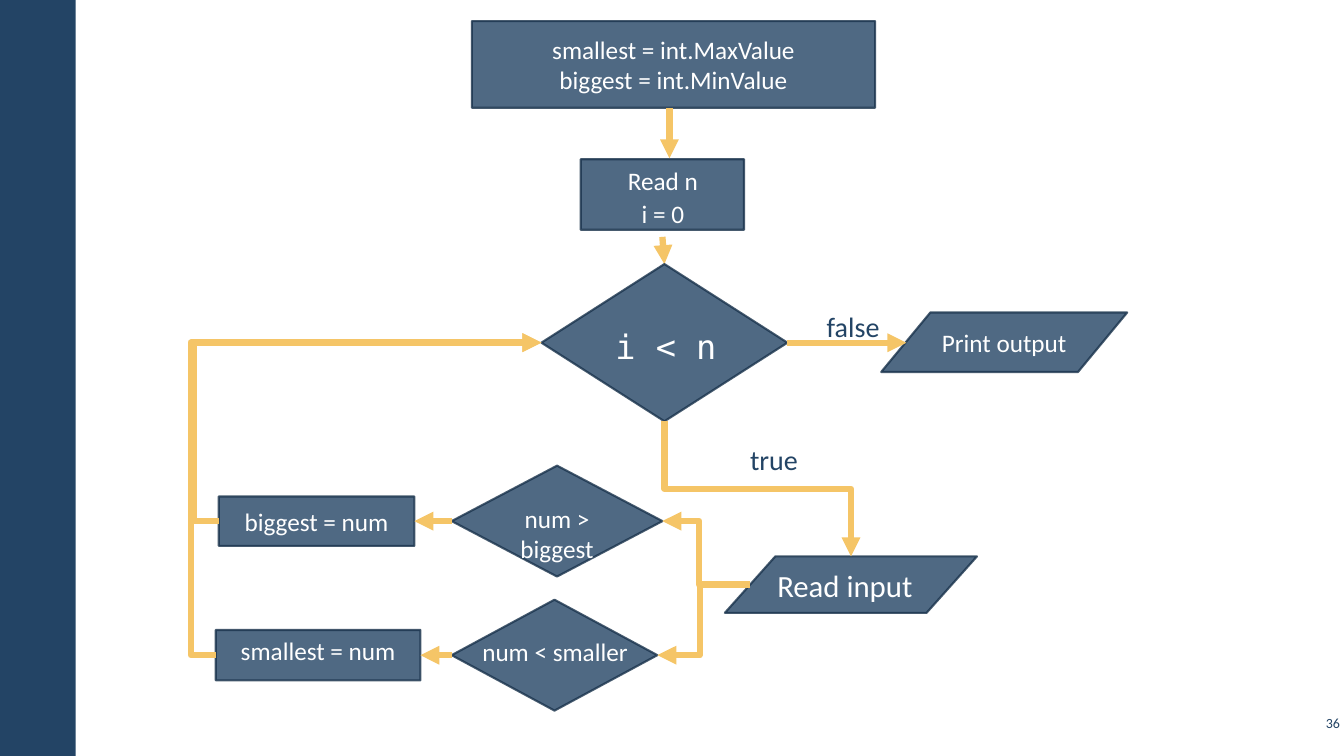
from lxml import etree
from pptx import Presentation
from pptx import util as u
from pptx.dml.color import RGBColor
from pptx.enum import shapes, text
from pptx.oxml import ns

NAVY = RGBColor(0x23, 0x44, 0x65)
EDGE = RGBColor(0x1A, 0x33, 0x4C)
GOLD = RGBColor(0xF5, 0xC5, 0x67)
WHITE = RGBColor(0xFF, 0xFF, 0xFF)
SCALE = 9144
KIND = shapes.MSO_SHAPE
LINK = shapes.MSO_CONNECTOR
ALIGN = text.PP_ALIGN
MID = text.MSO_ANCHOR.MIDDLE
TOP = text.MSO_ANCHOR.TOP


def px(*nums):
    return [u.Emu(round(n * SCALE)) for n in nums]


def shift(box, x, y):
    return box[0] + x, box[1] + y


def write(frame, words, size=18, font="Calibri", color=WHITE, align=ALIGN.CENTER,
          anchor=MID, space=None, pad=(10, 5)):
    frame.word_wrap = True
    frame.vertical_anchor = anchor
    frame.margin_left = frame.margin_right = px(pad[0])[0]
    frame.margin_top = frame.margin_bottom = px(pad[1])[0]
    for i, line in enumerate(words.split("\n")):
        para = frame.add_paragraph() if i else frame.paragraphs[0]
        para.alignment = align
        para.line_spacing = space
        run = para.add_run()
        run.text = line
        run.font.size = u.Pt(size)
        run.font.name = font
        run.font.color.rgb = color


def label(page, box, words, **form):
    item = page.shapes.add_textbox(*px(*box))
    write(item.text_frame, words, **{"anchor": TOP, **form})


def node(page, kind, box, words="", **form):
    item = page.shapes.add_shape(kind, *px(*box))
    item.shadow.inherit = False
    item.fill.solid()
    item.fill.fore_color.rgb = NAVY
    item.line.color.rgb = EDGE
    item.line.width = u.Pt(1.5)
    for tint in item.element.spPr.iter(ns.qn("a:srgbClr")):
        etree.SubElement(tint, ns.qn("a:alpha"), val="80000")
    if words:
        write(item.text_frame, words, **form)
    return item


def arrow(page, start, end, kind=LINK.STRAIGHT):
    item = page.shapes.add_connector(kind, *px(*start, *end))
    item.line.color.rgb = GOLD
    item.line.width = u.Pt(4.5)
    line = item.line._get_or_add_ln()
    etree.SubElement(line, ns.qn("a:tailEnd"), type="triangle")
    etree.SubElement(item.element.spPr, ns.qn("a:effectLst"))
    return item


def elbow(page, start, end, bend=None, turn=False):
    if turn:
        midx, midy = (start[0] + end[0]) / 2, (start[1] + end[1]) / 2
        dx, dy = (end[0] - start[0]) / 2, (end[1] - start[1]) / 2
        start, end = (midx - dy, midy + dx), (midx + dy, midy - dx)
    item = arrow(page, start, end, LINK.ELBOW)
    props = item.element.spPr
    if turn:
        props.find(ns.qn("a:xfrm")).set("rot", "5400000")
    geom = props.find(ns.qn("a:prstGeom"))
    if bend is None:
        geom.set("prst", "bentConnector2")
    else:
        guides = geom.find(ns.qn("a:avLst"))
        if guides is None:
            guides = etree.SubElement(geom, ns.qn("a:avLst"))
        etree.SubElement(guides, ns.qn("a:gd"), name="adj1",
                         fmla=f"val {round(bend * 100000)}")


def rail(page, box):
    item = page.shapes.add_shape(KIND.RECTANGLE, *px(*box))
    item.shadow.inherit = False
    item.fill.solid()
    item.fill.fore_color.rgb = NAVY
    item.line.fill.background()


def setup(page, box):
    node(page, KIND.RECTANGLE, (*box[:2], box[2], 86),
         "smallest = int.MaxValue\nbiggest = int.MinValue")
    node(page, KIND.RECTANGLE, (*shift(box, 108, 137), 162, 70))
    label(page, (*shift(box, 114, 128), 151, 94), "Read n\ni = 0",
          space=1.1, pad=(16, 12))
    arrow(page, shift(box, 196, 86), shift(box, 196, 136))
    arrow(page, shift(box, 189, 214), shift(box, 191, 241))


def test(page, box):
    ask = node(page, KIND.FLOWCHART_DECISION, (*box[:2], 244, box[3]))
    label(page, (*shift(box, 8, 56), 231, 47), "i < n", size=24,
          font="DejaVu Sans Mono")
    node(page, KIND.FLOWCHART_DATA, (*shift(box, 337, 48), 244, 59),
         "Print output", pad=(5, 5))
    link = arrow(page, shift(box, 244, 78), shift(box, 362, 78))
    link.begin_connect(ask, 3)
    label(page, (*shift(box, 267, 30), 100, 59), "false", size=20, color=NAVY,
          align=ALIGN.LEFT, space=1.1, pad=(16, 12))


def feed(page, box):
    label(page, (*shift(box, 9, 0), 100, 59), "true", size=20, color=NAVY,
          align=ALIGN.LEFT, space=1.1, pad=(16, 12))
    node(page, KIND.FLOWCHART_DATA, (*shift(box, 0, 128), box[2], 56))
    label(page, (*shift(box, 41, 133), 156, 47), "Read input", size=22)


def check(page, box, ask, area, step, size, anchor):
    gap = 448 - box[0]
    test = node(page, KIND.FLOWCHART_DECISION,
                (*shift(box, gap, 0), box[2] - gap, box[3]))
    label(page, (*shift(box, *area[:2]), *area[2:]), ask)
    act = node(page, KIND.FLOWCHART_PROCESS,
               (*shift(box, 0, (box[3] - size[1]) / 2), *size), step, anchor=anchor)
    link = arrow(page, shift(box, gap, 55), shift(box, size[0], 55))
    link.begin_connect(test, 1)
    link.end_connect(act, 3)


def links(page, box):
    goal = shift(box, 348, 0)
    elbow(page, shift(box, 28, 177), goal, -0.078)
    elbow(page, shift(box, 25, 310), goal, -0.077)
    elbow(page, shift(box, 470, 78), shift(box, 655, 212), 0.5, True)
    elbow(page, shift(box, 505, 240), shift(box, 463, 310), turn=True)
    elbow(page, shift(box, 555, 240), shift(box, 468, 177), 0.58)


def main():
    deck = Presentation()
    deck.slide_width, deck.slide_height = px(1333, 750)
    page = deck.slides.add_slide(deck.slide_layouts[6])
    rail(page, (0, 0, 75, 750))
    setup(page, (468, 21, 400, 207))
    test(page, (537, 262, 581, 156))
    feed(page, (719, 424, 250, 184))
    check(page, (217, 462, 440, 110), "num > biggest", (283, 32, 105, 70),
          "biggest = num", (194, 49), MID)
    check(page, (214, 595, 438, 110), "num < smaller", (242, 31, 189, 40),
          "smallest = num", (203, 50), TOP)
    links(page, (189, 340, 555, 310))
    label(page, (1286, 700, 47, 34), "36", size=10, color=NAVY,
          align=ALIGN.RIGHT, anchor=MID, pad=(4, 4))
    deck.save("out.pptx")


if __name__ == "__main__":
    main()
